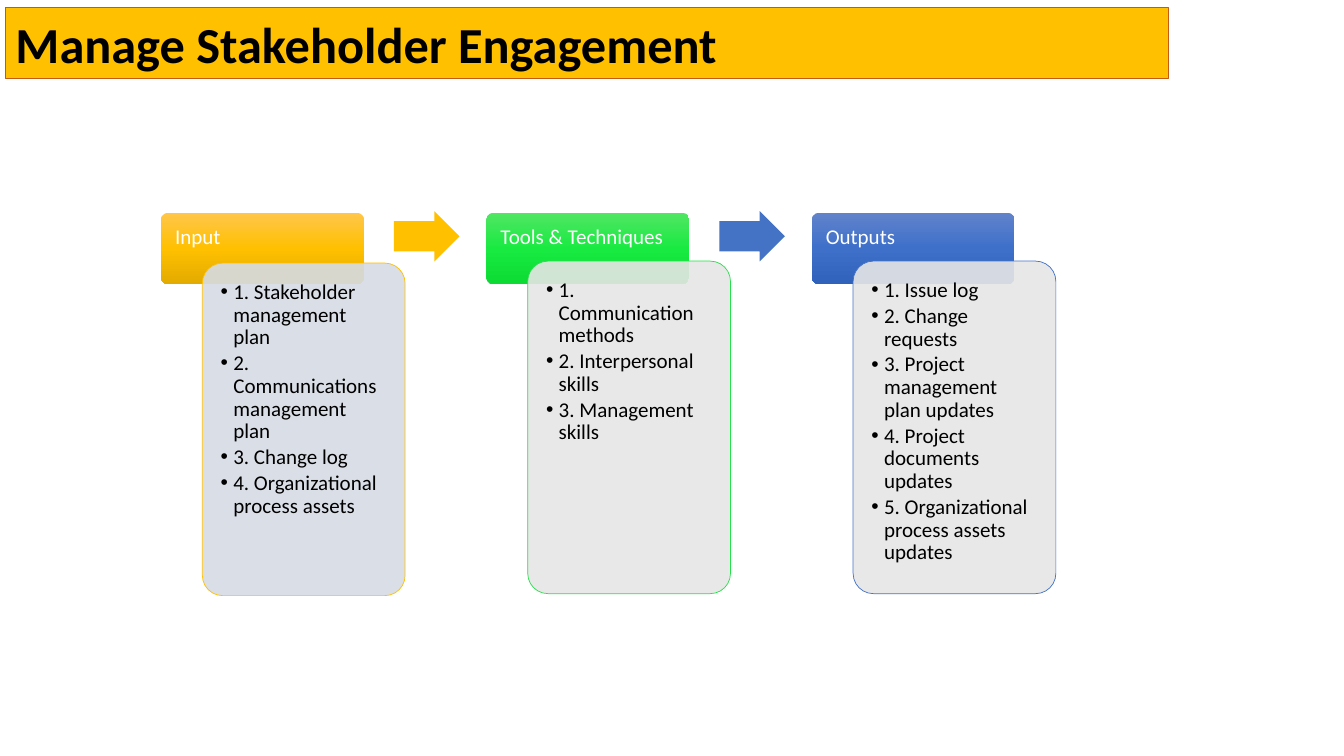
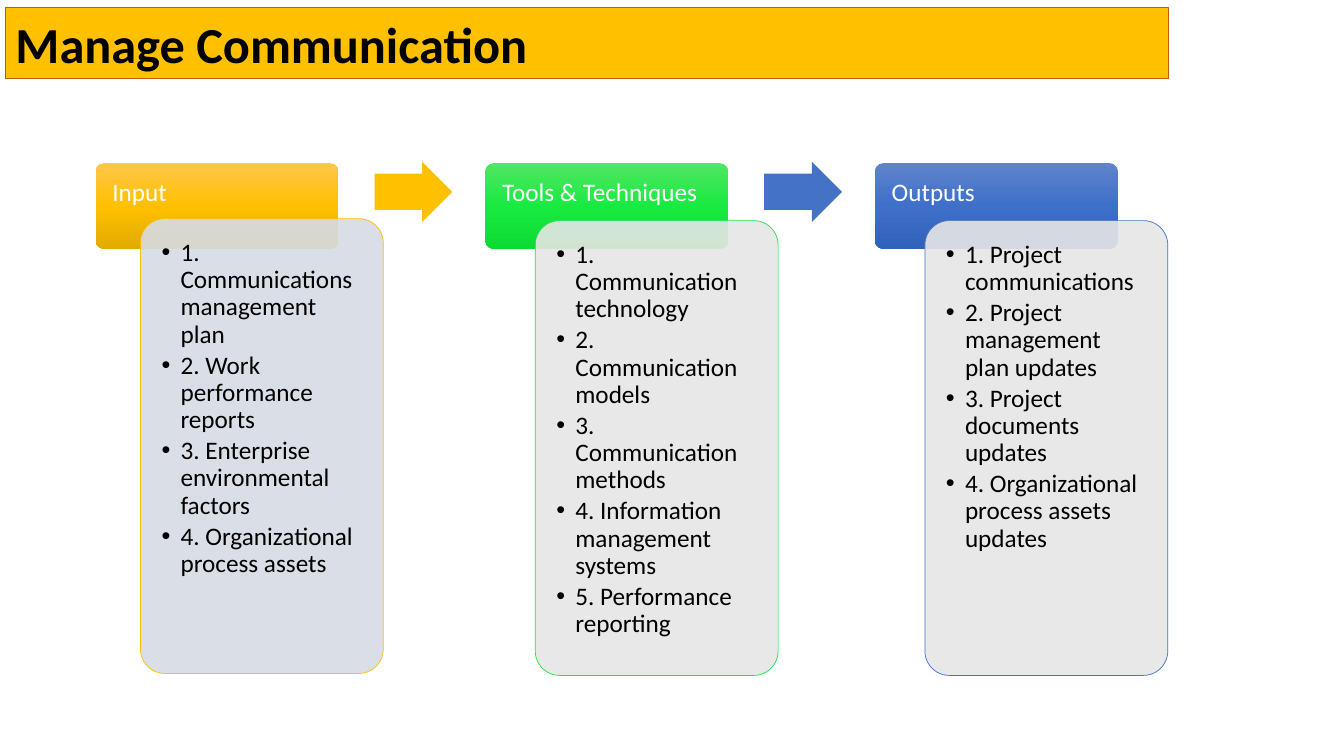
import copy

import pptx
import pptx.dml.color
import pptx.enum.shapes
import pptx.enum.text
import pptx.oxml
import pptx.oxml.ns
import pptx.util
from pptx.dml.color import RGBColor
from pptx.util import Cm, Pt

# Shared style
FONT = "Calibri"
BLACK = RGBColor(0x00, 0x00, 0x00)
WHITE = RGBColor(0xFF, 0xFF, 0xFF)
GOLD = RGBColor(0xFF, 0xC0, 0x00)
GREEN = RGBColor(0x23, 0xE1, 0x48)
BLUE = RGBColor(0x44, 0x72, 0xC4)
RUST = RGBColor(0xC5, 0x5A, 0x11)
PALE_BLUE = RGBColor(0xD6, 0xDC, 0xE5)
PALE_GREY = RGBColor(0xE7, 0xE6, 0xE6)
GOLD_SHADES = (RGBColor(0xFF, 0xC6, 0x4B), GOLD, RGBColor(0xE3, 0xAB, 0x00))
GREEN_SHADES = (RGBColor(0x51, 0xE6, 0x63), RGBColor(0x19, 0xEA, 0x42), RGBColor(0x0C, 0xDB, 0x34))
BLUE_SHADES = (RGBColor(0x61, 0x83, 0xCB), RGBColor(0x3E, 0x70, 0xCA), RGBColor(0x30, 0x62, 0xBB))

# Stage name, header gradient, accent colour, card fill
STAGES = [
    ("Input", GOLD_SHADES, GOLD, PALE_BLUE),
    ("Tools & Techniques", GREEN_SHADES, GREEN, PALE_GREY),
    ("Outputs", BLUE_SHADES, BLUE, PALE_GREY),
]
ARROW_COLOURS = [GOLD, BLUE]

# Lengths are in centimetres, text sizes in points
PROCESSES = [
    {
        "title": "Manage Stakeholder Engagement",
        "left": 4.06, "top": 5.36, "pitch": 8.2, "width": 5.11,
        "header_height": 1.8, "label_height": 1.19, "label_margin": 0.3,
        "card_offset": (1.04, 1.22), "first_nudge": (0, 0.05),
        "card_height": 8.38, "card_margin": 0.46,
        "arrow_gap": 0.76, "arrow_size": (1.65, 1.27),
        "text_size": 15, "indent": 0.32,
        "lists": [
            ["1. Stakeholder management plan", "2. Communications management plan",
             "3. Change log", "4. Organizational process assets"],
            ["1. Communication methods", "2. Interpersonal skills", "3. Management skills"],
            ["1. Issue log", "2. Change requests", "3. Project management plan updates",
             "4. Project documents updates", "5. Organizational process assets updates"],
        ],
    },
    {
        "title": "Manage Communication",
        "left": 2.41, "top": 4.11, "pitch": 9.82, "width": 6.12,
        "header_height": 2.16, "label_height": 1.45, "label_margin": 0.36,
        "card_offset": (1.26, 1.45), "first_nudge": (-0.13, -0.05),
        "card_height": 11.46, "card_margin": 0.53,
        "arrow_gap": 0.91, "arrow_size": (1.96, 1.52),
        "text_size": 18, "indent": 0.48,
        "lists": [
            ["1. Communications management plan", "2. Work performance reports",
             "3. Enterprise environmental factors", "4. Organizational process assets"],
            ["1. Communication technology", "2. Communication models",
             "3. Communication methods", "4. Information management systems",
             "5. Performance reporting"],
            ["1. Project communications", "2. Project management plan updates",
             "3. Project documents updates", "4. Organizational process assets updates"],
        ],
    },
]


def write_text(shape, lines, size, colour=BLACK, bold=False, margins=(0.24, 0.13),
               anchor=pptx.enum.text.MSO_ANCHOR.TOP, spacing=0.9, after=0, bullet_indent=None):
    frame = shape.text_frame
    frame.word_wrap = True
    frame.auto_size = pptx.enum.text.MSO_AUTO_SIZE.NONE
    frame.vertical_anchor = anchor
    frame.margin_left = frame.margin_right = Cm(margins[0])
    frame.margin_top = frame.margin_bottom = Cm(margins[1])
    for number, line in enumerate(lines):
        paragraph = frame.add_paragraph() if number else frame.paragraphs[0]
        paragraph.alignment = pptx.enum.text.PP_ALIGN.LEFT
        paragraph.line_spacing = spacing
        paragraph.space_before = Pt(0)
        paragraph.space_after = Pt(after)
        if bullet_indent:
            properties = paragraph._p.get_or_add_pPr()
            properties.set("marL", str(Cm(bullet_indent)))
            properties.set("indent", str(-Cm(bullet_indent)))
            bullet_font = pptx.oxml.ns.qn("a:buFont")
            properties.append(properties.makeelement(bullet_font, {"typeface": "Arial"}))
            bullet = pptx.oxml.ns.qn("a:buChar")
            properties.append(properties.makeelement(bullet, {"char": "•"}))
        run = paragraph.add_run()
        run.text = line
        run.font.name = FONT
        run.font.size = Pt(size)
        run.font.bold = bold
        run.font.color.rgb = colour


def add_block(slide, kind, left, top, width, height, adjustments):
    shape = slide.shapes.add_shape(kind, Cm(left), Cm(top), Cm(width), Cm(height))
    for number, value in enumerate(adjustments):
        shape.adjustments[number] = value
    shape.shadow.inherit = False
    shape.line.fill.background()
    return shape


presentation = pptx.Presentation()
presentation.slide_width = Cm(33.87)
presentation.slide_height = Cm(19.05)
comparison_layout = presentation.slide_layouts.get_by_name("Comparison")
shape_kinds = pptx.enum.shapes.MSO_SHAPE

for process in PROCESSES:
    slide = presentation.slides.add_slide(comparison_layout)
    title, *bodies = slide.placeholders

    # Title band
    title.left, title.top, title.width, title.height = Cm(0.15), Cm(0.2), Cm(29.29), Cm(1.78)
    title.fill.solid()
    title.fill.fore_color.rgb = GOLD
    title.line.color.rgb = RUST
    title.line.width = Pt(0.75)
    write_text(title, [process["title"]], 36, bold=True, spacing=1.0,
               anchor=pptx.enum.text.MSO_ANCHOR.MIDDLE)

    top, width, size = process["top"], process["width"], process["text_size"]
    for index, (name, shades, accent, card_fill) in enumerate(STAGES):
        left = process["left"] + index * process["pitch"]

        # Stage header with a three-step gradient
        header = add_block(slide, shape_kinds.ROUNDED_RECTANGLE, left, top, width,
                           process["header_height"], [0.1])
        header.fill.gradient()
        header.fill.gradient_angle = 270
        stop_list = header.element.spPr.find(".//" + pptx.oxml.ns.qn("a:gsLst"))
        stop_list.insert(1, copy.deepcopy(stop_list[0]))
        for stop, shade, position in zip(header.fill.gradient_stops, shades, (0, 0.5, 1)):
            stop.color.rgb = shade
            stop.position = position
        label_margin = process["label_margin"]
        write_text(header, [name], size, colour=WHITE, margins=(label_margin, label_margin))

        # Translucent card
        nudge = (0, 0) if index else process["first_nudge"]
        card_left = left + process["card_offset"][0] + nudge[0]
        card_top = top + process["card_offset"][1] + nudge[1]
        card = add_block(slide, shape_kinds.ROUNDED_RECTANGLE, card_left, card_top, width,
                         process["card_height"], [0.1])
        card.fill.solid()
        card.fill.fore_color.rgb = card_fill
        colour_element = card.element.spPr.find(".//" + pptx.oxml.ns.qn("a:srgbClr"))
        alpha = pptx.oxml.ns.qn("a:alpha")
        colour_element.append(colour_element.makeelement(alpha, {"val": "90000"}))
        card.line.color.rgb = accent
        card.line.width = Pt(0.5)

        # List, raised in front of its card
        body = bodies[index]
        body.left, body.top, body.width, body.height = card.left, card.top, card.width, card.height
        card_margin = process["card_margin"]
        write_text(body, process["lists"][index], size, margins=(card_margin, card_margin),
                   after=0.15 * size, bullet_indent=process["indent"])
        body.element.getparent().append(body.element)

        # Arrow to the next stage, centred on the header label
        if index < len(ARROW_COLOURS):
            arrow_width, arrow_height = process["arrow_size"]
            arrow = add_block(slide, shape_kinds.RIGHT_ARROW, left + width + process["arrow_gap"],
                              top + (process["label_height"] - arrow_height) / 2,
                              arrow_width, arrow_height, [0.6, 0.5])
            arrow.fill.solid()
            arrow.fill.fore_color.rgb = ARROW_COLOURS[index]

    # The layout has more bodies than there are stages
    for spare in bodies[len(STAGES):]:
        spare.element.getparent().remove(spare.element)

presentation.save("out.pptx")
